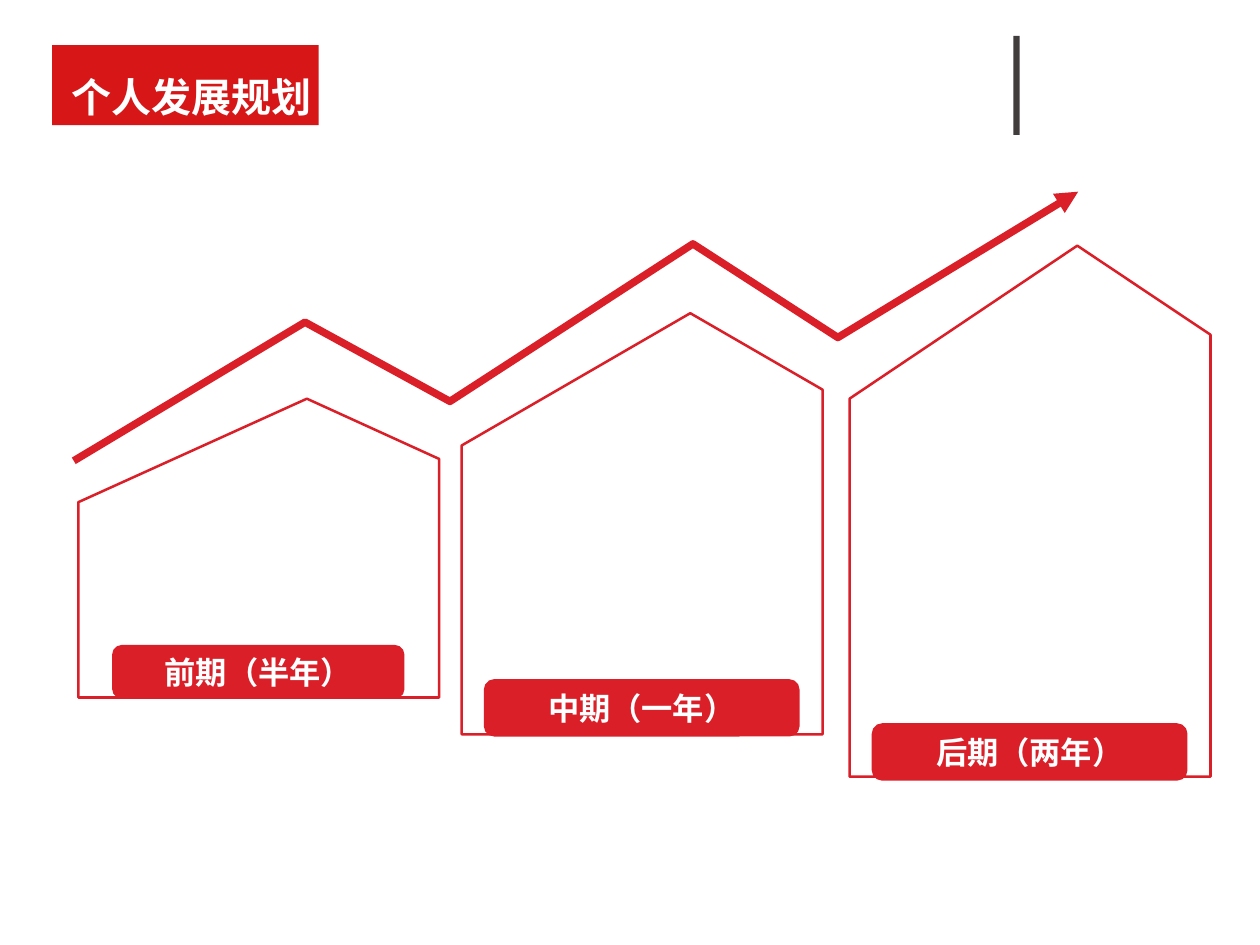
import pptx
import pptx.dml.color
import pptx.enum.shapes
import pptx.enum.text
import pptx.oxml.ns
import pptx.util
from dataclasses import dataclass
from lxml import etree
from pptx.util import Inches


@dataclass(frozen=True)
class Theme:
    red: str = "DA1F28"
    title_red: str = "D71618"
    dark: str = "403D3C"
    white: str = "FFFFFF"
    font: str = "Noto Sans CJK SC"
    title_size: int = 32
    label_size: int = 25
    outline: int = 2
    trend: int = 6


theme = Theme()
rgb = pptx.dml.color.RGBColor.from_string
qn = pptx.oxml.ns.qn
shape_types = pptx.enum.shapes.MSO_SHAPE
anchors = pptx.enum.text.MSO_ANCHOR


def add_box(shape_type, box, color):
    shape = slide.shapes.add_shape(shape_type, *map(Inches, box))
    shape.shadow.inherit = False
    shape.fill.solid()
    shape.fill.fore_color.rgb = rgb(color)
    shape.line.fill.background()
    return shape


def write_text(shape, text, size, anchor):
    shape.text_frame.vertical_anchor = anchor
    paragraph = shape.text_frame.paragraphs[0]
    paragraph.alignment = pptx.enum.text.PP_ALIGN.CENTER
    run = paragraph.add_run()
    run.text = text
    run.font.size = pptx.util.Pt(size)
    run.font.bold = True
    run.font.color.rgb = rgb(theme.white)
    run.font.name = theme.font
    etree.SubElement(run.font._element, qn("a:ea"), typeface=theme.font)
    return paragraph


presentation = pptx.Presentation()
presentation.slide_width = Inches(14)
presentation.slide_height = Inches(10.5)
slide = presentation.slides.add_slide(presentation.slide_layouts[5])

add_box(shape_types.RECTANGLE, (11.26, 0.4, 0.07, 1.1), theme.dark)
add_box(shape_types.RECTANGLE, (0.58, 0.5, 2.96, 0.89), theme.title_red)

title = slide.shapes.title
title.left, title.top, title.width, title.height = map(Inches, (0.58, 0.22, 3.09, 1.18))
title.text_frame.auto_size = pptx.enum.text.MSO_AUTO_SIZE.NONE
heading = write_text(title, "个人发展规划", theme.title_size, anchors.TOP)
heading.line_spacing = 2.0
title.element.getparent().append(title.element)

house_width = 4.01
trend_points = [(0.82, 5.12), (3.39, 3.58), (5, 4.46), (7.7, 2.71), (9.31, 3.75), (11.98, 2.13)]
outlines = [(trend_points, False, theme.trend)]
for left, peak_x, peak, right_eave, left_eave, base in [
    (0.87, 3.41, 4.43, 5.1, 5.58, 7.75),
    (5.13, 7.67, 3.48, 4.33, 4.95, 8.16),
    (9.44, 11.97, 2.73, 3.72, 4.43, 8.63),
]:
    right = left + house_width
    house_points = [(peak_x, peak), (right, right_eave), (right, base), (left, base), (left, left_eave)]
    outlines.append((house_points, True, theme.outline))

for points, closed, width in outlines:
    corners = [(Inches(x), Inches(y)) for x, y in points]
    builder = slide.shapes.build_freeform(*corners[0])
    builder.add_line_segments(corners[1:], close=closed)
    shape = builder.convert_to_shape()
    shape.shadow.inherit = False
    shape.fill.background()
    shape.line.color.rgb = rgb(theme.red)
    shape.line.width = pptx.util.Pt(width)
    line = shape.element.spPr.find(qn("a:ln"))
    etree.SubElement(line, qn("a:round"))
    if not closed:
        etree.SubElement(line, qn("a:tailEnd"), type="triangle")

for text, box in [
    ("前期（半年）", (1.26, 7.18, 3.22, 0.57)),
    ("中期（一年）", (5.39, 7.56, 3.48, 0.61)),
    ("后期（两年）", (9.7, 8.05, 3.48, 0.61)),
]:
    label = add_box(shape_types.ROUNDED_RECTANGLE, box, theme.red)
    label.line.color.rgb = rgb(theme.red)
    label.line.width = pptx.util.Pt(theme.outline)
    write_text(label, text, theme.label_size, anchors.MIDDLE)

presentation.save("out.pptx")
